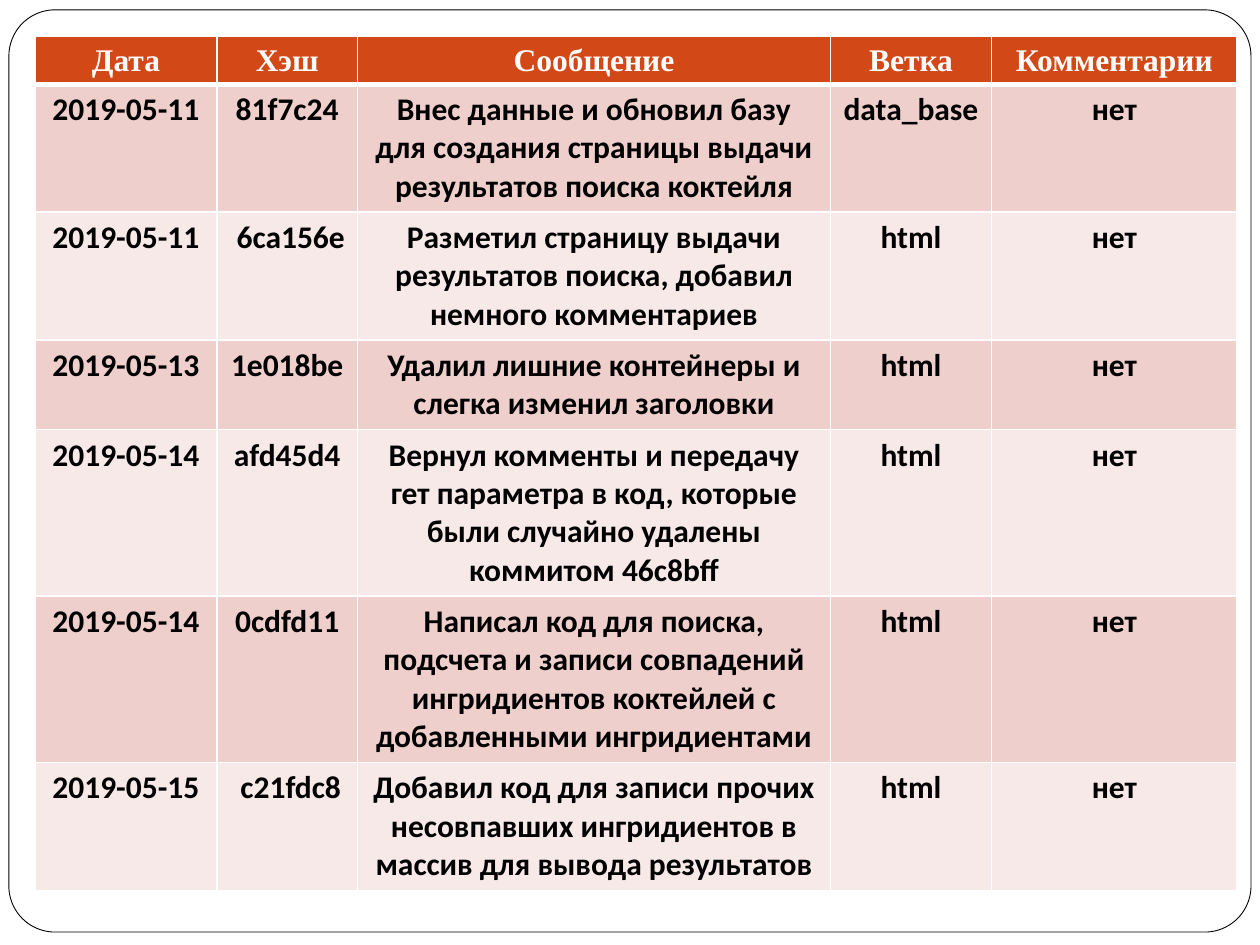
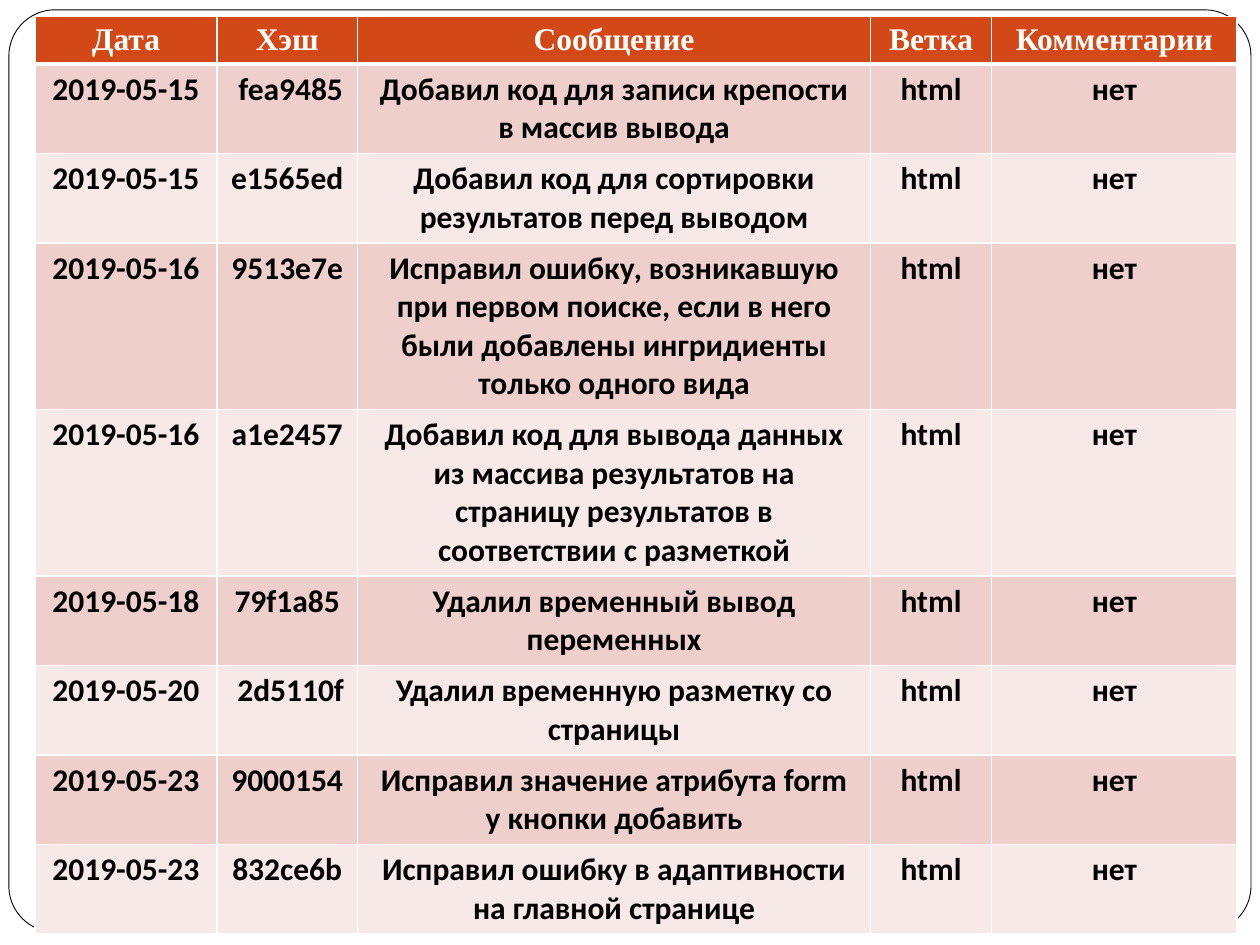
from lxml.etree import SubElement
from pptx import Presentation
from pptx.dml.color import RGBColor
from pptx.enum.shapes import MSO_SHAPE
from pptx.enum.text import PP_ALIGN
from pptx.oxml import parse_xml
from pptx.oxml.ns import nsdecls, qn
from pptx.util import Cm, Pt

HEADINGS = ("Дата", "Хэш", "Сообщение", "Ветка", "Комментарии")
NO_COMMENT = "нет"

# Each commit: date, hash, message, branch
LOGS = [
    {
        "top": 0.74,
        "widths": (3.66, 2.84, 9.53, 3.25, 4.95),
        "commits": [
            ("2019-05-11", "81f7c24", "Внес данные и обновил базу для создания страницы "
             "выдачи результатов поиска коктейля", "data_base"),
            ("2019-05-11", " 6ca156e", "Разметил страницу выдачи результатов поиска, "
             "добавил немного комментариев", "html"),
            ("2019-05-13", "1e018be", "Удалил лишние контейнеры и слегка изменил "
             "заголовки", "html"),
            ("2019-05-14", "afd45d4", "Вернул комменты и передачу гет параметра в код, "
             "которые были случайно удалены коммитом 46c8bff", "html"),
            ("2019-05-14", "0cdfd11", "Написал код для поиска, подсчета и записи "
             "совпадений ингридиентов коктейлей с добавленными ингридиентами", "html"),
            ("2019-05-15", " c21fdc8", "Добавил код для записи прочих несовпавших "
             "ингридиентов в массив для вывода результатов", "html"),
        ],
    },
    {
        "top": 0.33,
        "widths": (3.66, 2.84, 10.34, 2.44, 4.95),
        "commits": [
            ("2019-05-15", " fea9485", "Добавил код для записи крепости в массив "
             "вывода", "html"),
            ("2019-05-15", "e1565ed", "Добавил код для сортировки результатов перед "
             "выводом", "html"),
            ("2019-05-16", "9513e7e", "Исправил ошибку, возникавшую при первом поиске, "
             "если в него были добавлены ингридиенты только одного вида", "html"),
            ("2019-05-16", "a1e2457", "Добавил код для вывода данных из массива "
             "результатов на страницу результатов в соответствии с разметкой", "html"),
            ("2019-05-18", "79f1a85", "Удалил временный вывод переменных", "html"),
            ("2019-05-20", " 2d5110f", "Удалил временную разметку со страницы", "html"),
            ("2019-05-23", "9000154", "Исправил значение атрибута form у кнопки "
             "добавить", "html"),
            ("2019-05-23", "832ce6b", "Исправил ошибку в адаптивности на главной "
             "странице", "html"),
        ],
    },
]

WHITE, BLACK, ORANGE = "FFFFFF", "000000", "D34817"
BANDS = ("EFCFCC", "F7E9E8")
HEADING_FONT, BODY_FONT = "Times New Roman", "Calibri"
TABLE_LEFT, ROW_HEIGHT = 0.71, 0.84
THIN, THICK = 1, 3
BLANK_LAYOUT = 6


def colour(hex_string):
    return RGBColor.from_string(hex_string)


def add_master_frame(deck, page):
    """Draw the rounded page frame and hand it to the slide master."""
    frame = page.shapes.add_shape(MSO_SHAPE.ROUNDED_RECTANGLE,
                                  Cm(0.18), Cm(0.2), Cm(25.04), Cm(18.59))
    frame.adjustments[0] = 0.05
    frame.shadow.inherit = False
    frame.fill.solid()
    frame.fill.fore_color.rgb = colour(WHITE)
    frame.line.color.rgb = colour(BLACK)
    frame.line.width = Pt(0.5)
    frame.element.nvSpPr.cNvPr.set("id", "20")
    deck.slide_master.element.cSld.spTree.insert(2, frame.element)


def set_borders(cell, top, bottom):
    """Give the cell white borders; top and bottom are widths in points."""
    properties = cell._tc.get_or_add_tcPr()
    sides = (("lnL", THIN), ("lnR", THIN), ("lnT", top), ("lnB", bottom))
    for position, (side, width) in enumerate(sides):
        border = parse_xml(f'<a:{side} {nsdecls("a")} w="{Pt(width)}"/>')
        fill = SubElement(border, qn("a:solidFill"))
        SubElement(fill, qn("a:srgbClr"), val=WHITE)
        properties.insert(position, border)


def fill_cell(cell, text, row):
    heading = row == 0
    cell.fill.solid()
    cell.fill.fore_color.rgb = colour(ORANGE if heading else BANDS[(row - 1) % 2])
    set_borders(cell, top=THICK if row == 1 else THIN, bottom=THICK if heading else THIN)
    para = cell.text_frame.paragraphs[0]
    para.alignment = PP_ALIGN.CENTER
    span = para.add_run()
    span.text = text
    span.font.name = HEADING_FONT if heading else BODY_FONT
    span.font.size = Pt(18)
    span.font.bold = True
    span.font.color.rgb = colour(WHITE if heading else BLACK)


def add_commit_table(page, log):
    rows = [HEADINGS] + [(*commit, NO_COMMENT) for commit in log["commits"]]
    widths = log["widths"]
    table = page.shapes.add_table(len(rows), len(widths), Cm(TABLE_LEFT), Cm(log["top"]),
                                  Cm(sum(widths)), Cm(ROW_HEIGHT * len(rows))).table
    for column, width in zip(table.columns, widths):
        column.width = Cm(width)
    for row, texts in enumerate(rows):
        for column, text in enumerate(texts):
            fill_cell(table.cell(row, column), text, row)


def main():
    deck = Presentation()
    deck.slide_width, deck.slide_height = Cm(25.4), Cm(19.05)
    pages = [deck.slides.add_slide(deck.slide_layouts[BLANK_LAYOUT]) for _ in LOGS]
    add_master_frame(deck, pages[0])
    for page, log in zip(pages, LOGS):
        add_commit_table(page, log)
    deck.save("out.pptx")


if __name__ == "__main__":
    main()
